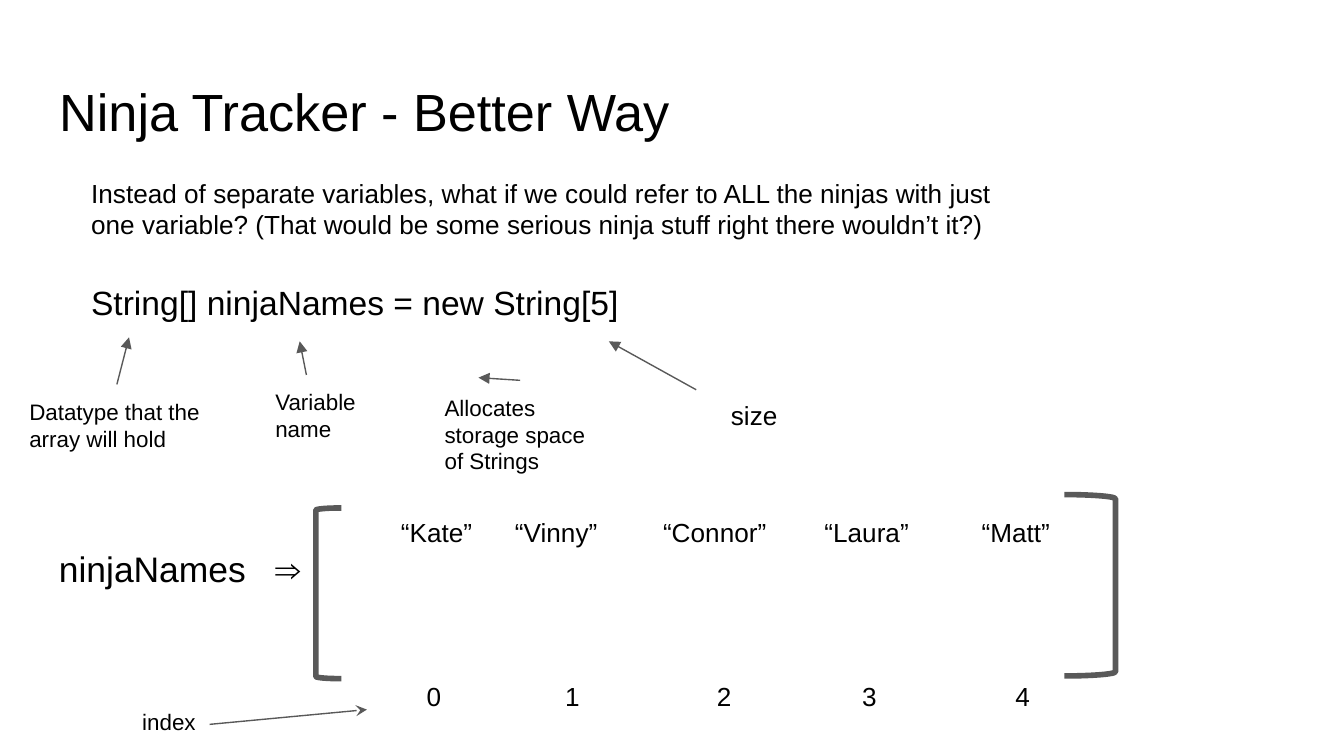
from dataclasses import dataclass

from lxml.etree import SubElement as Sub
from pptx import Presentation
from pptx.dml.color import RGBColor as Rgb
from pptx.enum.shapes import MSO_CONNECTOR as Conn, MSO_SHAPE as Kind
from pptx.enum.text import MSO_ANCHOR as Anchor, MSO_AUTO_SIZE as Fit, PP_ALIGN as Align
from pptx.oxml.ns import qn
from pptx.util import Inches, Pt


@dataclass(frozen=True)
class Theme:
    font: str = "Arial"
    ink: Rgb = Rgb(0, 0, 0)
    gray: Rgb = Rgb(0x59, 0x59, 0x59)
    title: int = 28
    name: int = 19
    code: int = 18
    body: int = 14
    note: int = 12
    thin: float = 0.75
    thick: float = 3
    pad: float = 0.1


THEME = Theme()


def write(shape, text, size, tabs=(), align="ctr"):
    """Fill a shape with one paragraph; tabs are inches from the text edge."""
    frame = shape.text_frame
    frame.word_wrap = True
    frame.auto_size = Fit.NONE
    frame.vertical_anchor = Anchor.TOP
    frame.margin_left = frame.margin_right = Inches(THEME.pad)
    frame.margin_top = frame.margin_bottom = Inches(THEME.pad)
    para = frame.paragraphs[0]
    para.alignment = Align.LEFT
    if tabs:
        stops = Sub(para._p.get_or_add_pPr(), qn("a:tabLst"))
        for pos in tabs:
            Sub(stops, qn("a:tab"), pos=str(Inches(pos)), algn=align)
    run = para.add_run()
    run.text = text
    run.font.name = THEME.font
    run.font.size = Pt(size)
    run.font.color.rgb = THEME.ink


def add_text(shapes, box, text, size, tabs=(), align="ctr"):
    shape = shapes.add_textbox(*map(Inches, box))
    write(shape, text, size, tabs, align)


def add_arrow(shapes, start, end, head="triangle"):
    arrow = shapes.add_connector(Conn.STRAIGHT, *map(Inches, start + end))
    arrow.line.color.rgb = THEME.gray
    arrow.line.width = Pt(THEME.thin)
    Sub(arrow.line._get_or_add_ln(), qn("a:tailEnd"), type=head)
    Sub(arrow._element.spPr, qn("a:effectLst"))


def add_bracket(shapes, kind, box):
    shape = shapes.add_shape(kind, *map(Inches, box))
    shape.adjustments[0] = 0.083
    shape.shadow.inherit = False
    shape.fill.background()
    shape.line.color.rgb = THEME.gray
    shape.line.width = Pt(THEME.thick)


def add_row(shapes, box, words, mids):
    """Centre each word on its own tab stop, given as slide positions."""
    edge = box[0] + THEME.pad
    text = "".join("\t" + word for word in words)
    add_text(shapes, box, text, THEME.body, [mid - edge for mid in mids])


def add_head(slide, box):
    title = slide.shapes.title
    title.left, title.top, title.width, title.height = map(Inches, box)
    write(title, "Ninja Tracker - Better Way", THEME.title)


def add_intro(slide, box):
    add_text(slide.shapes, box,
             "Instead of separate variables, what if we could refer to ALL the "
             "ninjas with just one variable? (That would be some serious ninja "
             "stuff right there wouldn’t it?)", THEME.body)


def add_code(slide, box):
    """Place the declaration and the notes that point at its parts."""
    x, y, wide, _ = box
    shapes = slide.shapes
    add_text(shapes, (x, y, wide, 0.81),
             "String[] ninjaNames = new String[5]", THEME.code)
    notes = [
        ("Datatype that the array will hold", THEME.note,
         (-0.46, 0.86, 1.5, 0.75), (0.29, 0.86), (0.38, 0.51)),
        ("Variable name", THEME.note,
         (1.37, 0.79, 0.99, 0.61), (1.7, 0.79), (1.65, 0.54)),
        ("Allocates storage space of Strings", THEME.note,
         (2.63, 0.83, 1.33, 0.82), (3.29, 0.83), (2.98, 0.81)),
        ("size", THEME.body,
         (4.76, 0.87, 1.14, 0.44), (4.6, 0.9), (3.95, 0.54)),
    ]
    for text, size, (dx, dy, w, h), start, end in notes:
        add_text(shapes, (x + dx, y + dy, w, h), text, size)
        add_arrow(shapes, (x + start[0], y + start[1]), (x + end[0], y + end[1]))


def add_array(slide, box):
    """Place the array's name, its bracketed values and their indexes."""
    x, y, _, _ = box
    shapes = slide.shapes
    group = shapes.add_group_shape().shapes
    names = ["Kate", "Vinny", "Connor", "Laura", "Matt"]
    add_row(group, (x + 2.43, y + 0.06, 5.44, 0.44),
            [f"“{name}”" for name in names],
            [x + dx for dx in (2.91, 3.8, 4.98, 6.11, 7.22)])
    add_bracket(group, Kind.LEFT_BRACKET, (x + 2.01, y + 0.1, 0.19, 1.27))
    add_bracket(group, Kind.RIGHT_BRACKET, (x + 7.58, y, 0.38, 1.35))
    add_text(shapes, (x, y + 0.29, 2.11, 0.52), "ninjaNames\t⇒",
             THEME.name, [1.61], "l")
    add_row(shapes, (x + 2.63, y + 1.28, 6.1, 0.44), map(str, range(len(names))),
            [x + dx for dx in (2.89, 3.92, 5.05, 6.13, 7.27)])
    add_text(shapes, (x + 0.62, y + 1.49, 0.92, 0.26), "index", THEME.note)
    add_arrow(shapes, (x + 1.22, y + 1.71), (x + 2.39, y + 1.6), "stealth")


def main():
    deck = Presentation()
    deck.slide_width = Inches(10)
    deck.slide_height = deck.slide_width * 9 // 16
    slide = deck.slides.add_slide(deck.slide_layouts[5])
    add_head(slide, (0.34, 0.49, 9.32, 0.63))
    add_intro(slide, (0.58, 1.22, 7.13, 0.67))
    add_code(slide, (0.58, 2, 5.96, 1.65))
    add_array(slide, (0.34, 3.68, 8.73, 1.75))
    deck.save("out.pptx")


if __name__ == "__main__":
    main()
